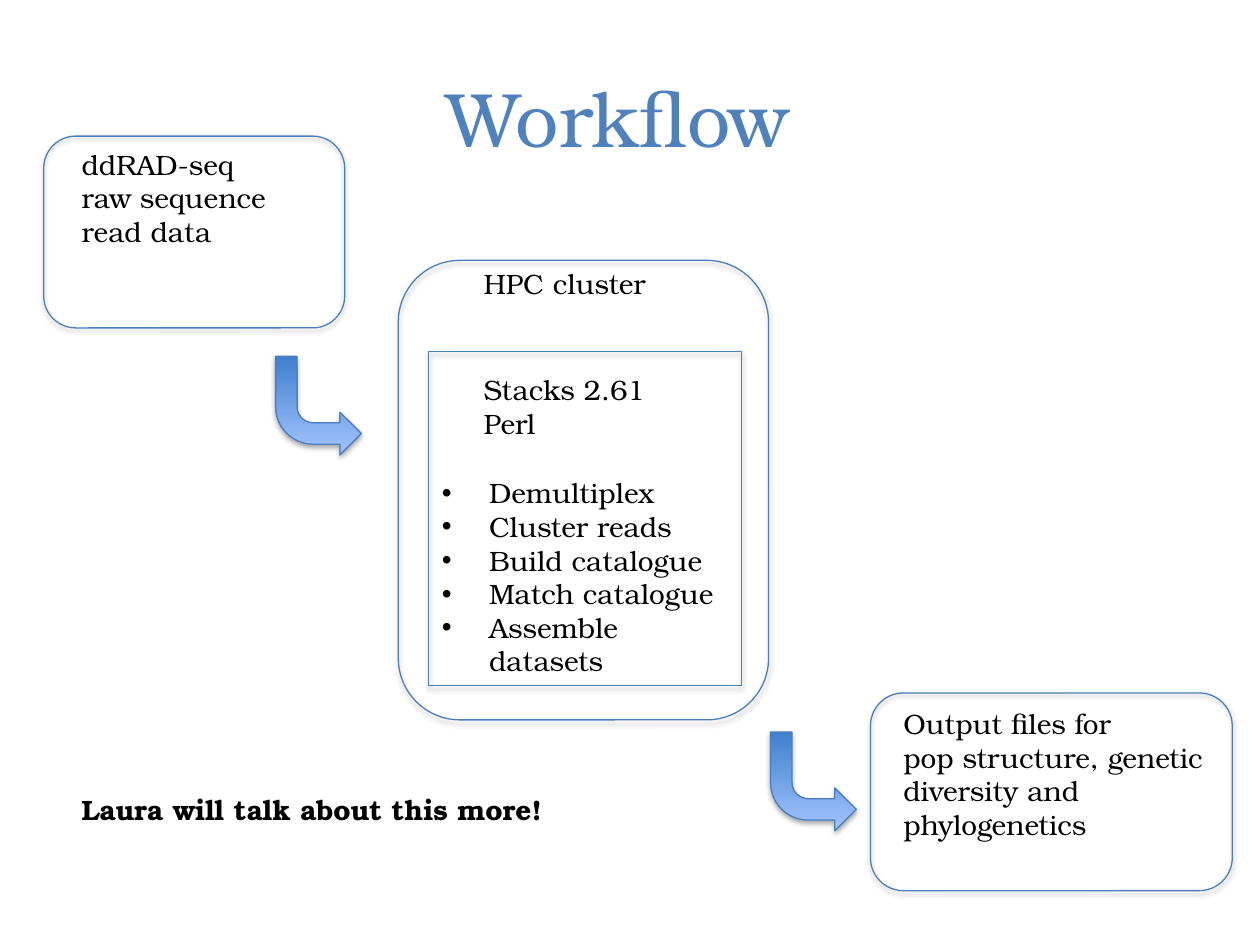
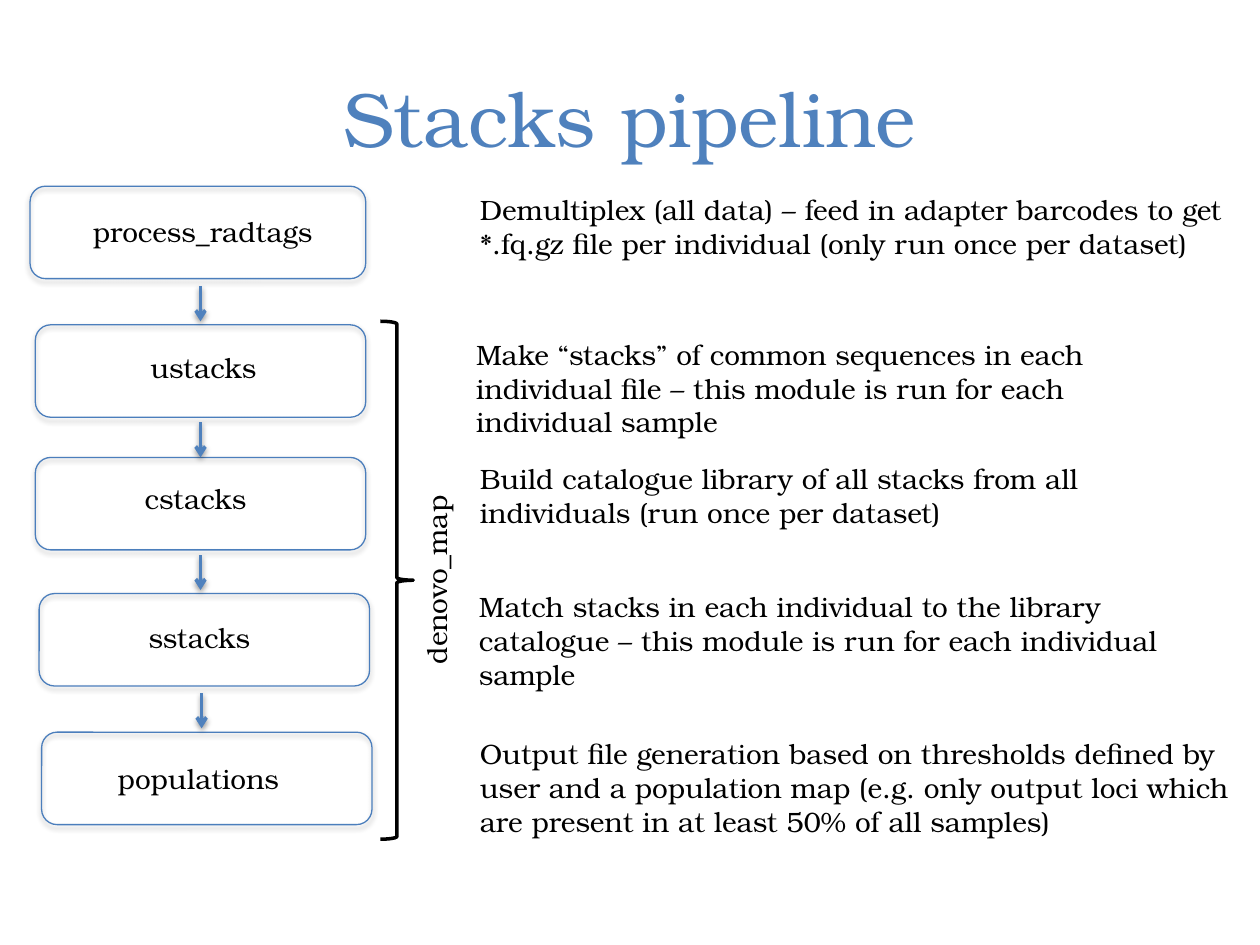
import pptx
import pptx.util
import pptx.dml.color
import pptx.enum.shapes
import pptx.enum.text
import pptx.oxml.ns
from lxml import etree

Pt = pptx.util.Pt
RGBColor = pptx.dml.color.RGBColor
MSO_SHAPE = pptx.enum.shapes.MSO_SHAPE
qn = pptx.oxml.ns.qn

FONT = "TeX Gyre Bonum"
BLUE = RGBColor(0x4F, 0x81, 0xBD)
OUTLINE = RGBColor(0x4B, 0x7E, 0xBC)
ARROW_DARK = RGBColor(0x3F, 0x80, 0xCE)
ARROW_LIGHT = RGBColor(0xA4, 0xC4, 0xFF)
BLACK = RGBColor(0, 0, 0)
WHITE = RGBColor(0xFF, 0xFF, 0xFF)


def add_shadow(shape, opacity):
    """Soft shadow straight below; call after fill and line are set."""
    effects = etree.SubElement(shape._element.spPr, qn("a:effectLst"))
    outer = etree.SubElement(effects, qn("a:outerShdw"), blurRad=str(Pt(3.1)),
                             dist=str(Pt(1.7)), dir="5400000", rotWithShape="0")
    color = etree.SubElement(outer, qn("a:srgbClr"), val=str(BLACK))
    etree.SubElement(color, qn("a:alpha"), val=str(opacity * 1000))


def add_text(s, left, top, width, height, lines, bold=False, bullets=False):
    tb = s.shapes.add_textbox(Pt(left), Pt(top), Pt(width), Pt(height))
    tf = tb.text_frame
    tf.word_wrap = True
    for i, line in enumerate(lines):
        p = tf.paragraphs[0] if i == 0 else tf.add_paragraph()
        if bullets:
            pPr = p._p.get_or_add_pPr()
            pPr.set("marL", str(Pt(27)))
            pPr.set("indent", str(-Pt(27)))
            etree.SubElement(pPr, qn("a:buFont"), typeface="Arial")
            etree.SubElement(pPr, qn("a:buChar"), char="•")
        r = p.add_run()
        r.text = line
        r.font.name = FONT
        r.font.size = Pt(16)
        r.font.bold = bold
        r.font.color.rgb = BLACK
    return tb


prs = pptx.Presentation()
prs.slide_width, prs.slide_height = Pt(720), Pt(540)

# Slides and their titles
slides = []
for title in ["Workflow ", "Stacks pipeline"]:
    s = prs.slides.add_slide(prs.slide_layouts[5])
    t = s.shapes.title
    t.left, t.top, t.width, t.height = Pt(36), Pt(21.6), Pt(648), Pt(90)
    tf = t.text_frame
    tf.vertical_anchor = pptx.enum.text.MSO_ANCHOR.MIDDLE
    p = tf.paragraphs[0]
    p.alignment = pptx.enum.text.PP_ALIGN.CENTER
    r = p.add_run()
    r.text = title
    r.font.name = FONT
    r.font.size = Pt(44)
    r.font.color.rgb = BLUE
    slides.append(s)
workflow, pipeline = slides

# Outlined boxes on both slides
ROUND, RECT = MSO_SHAPE.ROUNDED_RECTANGLE, MSO_SHAPE.RECTANGLE
boxes = []
for s, kind, left, top, width, height in [
    (workflow, ROUND, 25, 77.8, 172, 109.6),
    (workflow, ROUND, 227.6, 148.8, 211.6, 262.6),
    (workflow, RECT, 244.8, 200.8, 178.8, 191),
    (workflow, ROUND, 497.4, 396, 206.8, 113),
    (pipeline, ROUND, 17.2, 106.4, 191.8, 52.8),
    (pipeline, ROUND, 20.2, 185.6, 188.8, 52.8),
    (pipeline, ROUND, 20.2, 261.4, 188.8, 52.8),
    (pipeline, ROUND, 22.4, 339.2, 188.8, 52.8),
    (pipeline, ROUND, 23.8, 418.4, 188.8, 52.8),
]:
    box = s.shapes.add_shape(kind, Pt(left), Pt(top), Pt(width), Pt(height))
    box.fill.background()
    box.line.color.rgb = OUTLINE
    box.line.width = Pt(0.75)
    add_shadow(box, 35)
    boxes.append(box)

# Workflow: bent arrows between the stages
for left, top in [(157.5, 203.6), (440.3, 418.4)]:
    arrow = workflow.shapes.add_shape(MSO_SHAPE.BENT_ARROW, Pt(left), Pt(top), Pt(49), Pt(56.4))
    arrow._element.spPr.find(qn("a:xfrm")).set("flipV", "1")
    arrow.fill.gradient()
    arrow.fill.gradient_angle = 90
    for stop, color in zip(arrow.fill.gradient_stops, (ARROW_DARK, ARROW_LIGHT)):
        stop.color.rgb = color
    arrow.line.color.rgb = OUTLINE
    arrow.line.width = Pt(0.75)
    add_shadow(arrow, 35)

# Workflow: text
add_text(workflow, 39.6, 80.6, 136.8, 65.5, ["ddRAD-seq", "raw sequence read data"])
add_text(workflow, 269.3, 148.8, 165.6, 26.6, ["HPC cluster"])
add_text(workflow, 269.3, 209.6, 165.6, 46, ["Stacks 2.61", "Perl"])
add_text(workflow, 245.4, 268.4, 177.8, 143.3,
         ["Demultiplex", "Cluster reads", "Build catalogue", "Match catalogue",
          "Assemble datasets"], bullets=True)
add_text(workflow, 509.2, 400.3, 211, 85,
         ["Output files for", "pop structure, genetic diversity and phylogenetics"])
add_text(workflow, 39.6, 449.5, 362.9, 26.6, ["Laura will talk about this more!"], bold=True)

# Pipeline: module name and what it does
for left, top, name, note_left, note_top, note_width, note in [
    (46, 118.8, "process_radtags", 267.1, 106.6, 442,
     "Demultiplex (all data) – feed in adapter barcodes to get *.fq.gz file per "
     "individual (only run once per dataset)"),
    (78.8, 196.6, "ustacks", 265, 189.4, 427,
     "Make “stacks” of common sequences in each individual file – this module is "
     "run for each individual sample"),
    (75.6, 271.4, "cstacks", 267.1, 260.2, 427,
     "Build catalogue library of all stacks from all individuals (run once per dataset)"),
    (77.8, 351, "sstacks", 266.6, 333.6, 424.8,
     "Match stacks in each individual to the library catalogue – this module is "
     "run for each individual sample"),
    (60.2, 431.6, "populations", 267.1, 417.6, 456.5,
     "Output file generation based on thresholds defined by user and a population "
     "map (e.g. only output loci which are present in at least 50% of all samples)"),
]:
    add_text(pipeline, left, top, 150, 26.6, [name])
    add_text(pipeline, note_left, note_top, note_width, 65.5, [note])

# Pipeline: arrows from module to module
cstacks_box = boxes[6]
for x, top, bottom in [(114.6, 163.4, 183.6), (114.6, 241.2, 261.4),
                       (114.6, 317.2, 337.2), (115.2, 396, 416.2)]:
    line = pipeline.shapes.add_connector(pptx.enum.shapes.MSO_CONNECTOR.STRAIGHT,
                                         Pt(x), Pt(top), Pt(x), Pt(bottom))
    if Pt(bottom) == cstacks_box.top:
        line.end_connect(cstacks_box, 0)
    line.line.color.rgb = BLUE
    line.line.width = Pt(2)
    etree.SubElement(line.line._get_or_add_ln(), qn("a:tailEnd"), type="arrow")
    add_shadow(line, 38)

# Pipeline: brace over the modules run by denovo_map
brace = pipeline.shapes.add_shape(MSO_SHAPE.RIGHT_BRACE, Pt(217.4), Pt(183.6), Pt(18.8), Pt(296))
brace.shadow.inherit = False
brace.fill.solid()
brace.fill.fore_color.rgb = WHITE
brace.line.color.rgb = BLACK
brace.line.width = Pt(2)
add_text(pipeline, 149, 272.9, 200.9, 26.6, ["denovo_map"]).rotation = 270

prs.save("out.pptx")
